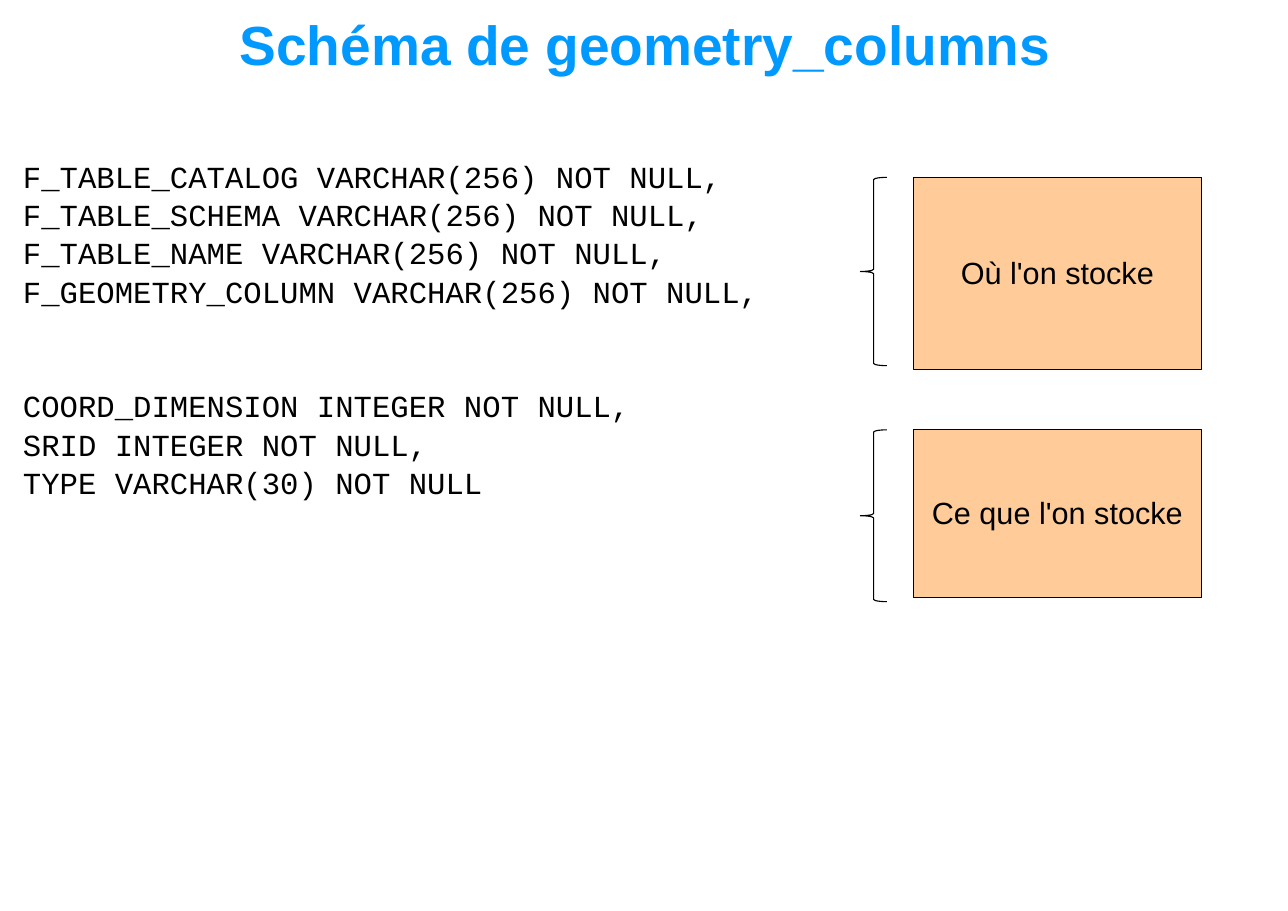
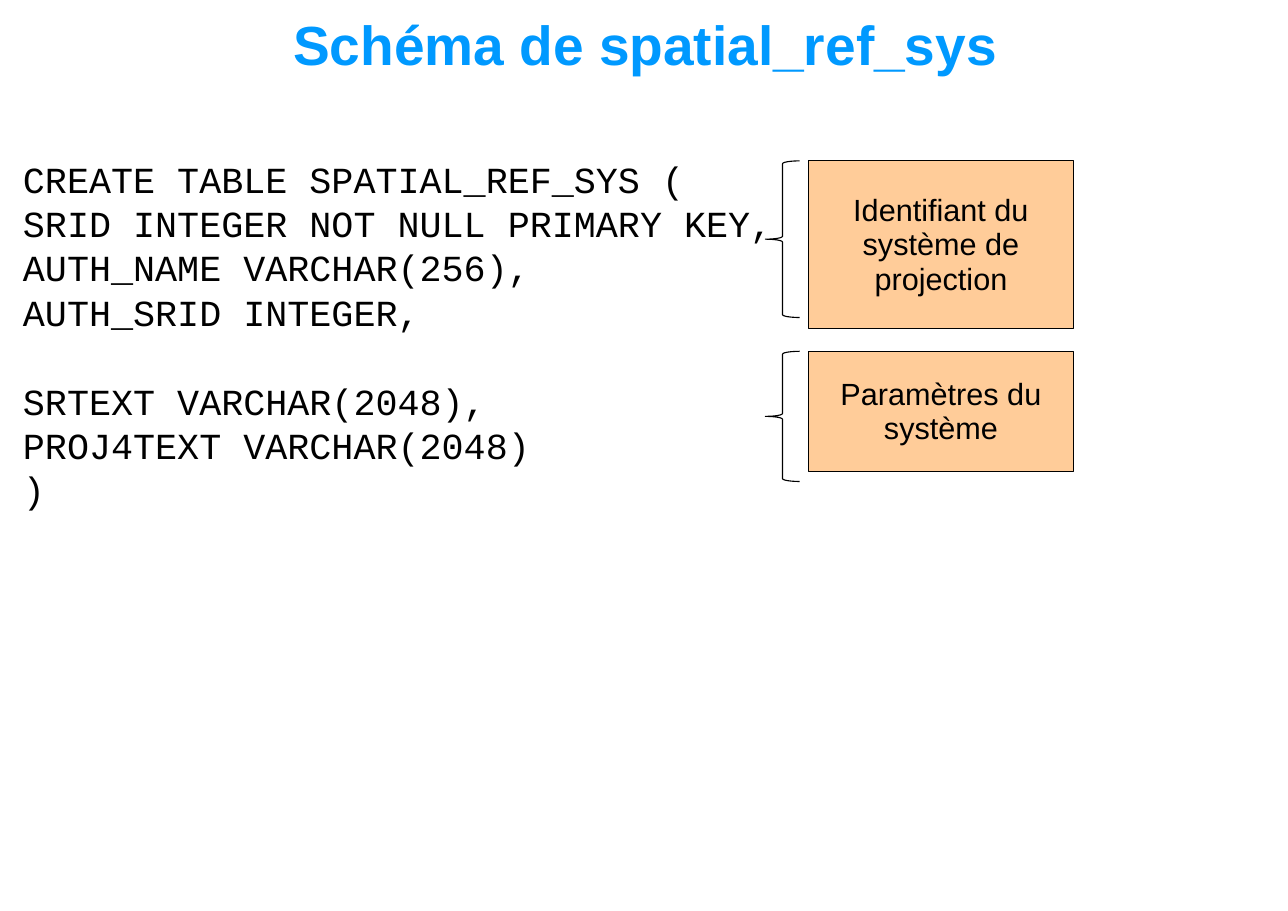
import pptx
import pptx.dml.color
import pptx.enum.shapes
import pptx.enum.text
import pptx.util

Cm = pptx.util.Cm
Pt = pptx.util.Pt
SHAPE = pptx.enum.shapes.MSO_SHAPE
ALIGN = pptx.enum.text.PP_ALIGN
ANCHOR = pptx.enum.text.MSO_ANCHOR

COLORS = {"title": "0099FF", "text": "000000", "note": "FFCC99", "line": "000000"}
FONT = "Arial"
CODE_FONT = "Courier New"
TITLE_BOX = (0.2, 0.25, 29.36, 1.57)
CODE_LEFT, CODE_TOP, CODE_HEIGHT = 0.53, 3.6, 14.15
LINE_SPACING = 0.93

# Each note is (top, note height, brace height, text); lengths are in cm.
SCHEMAS = [
    {
        "title": "Schéma de geometry_columns",
        "code_width": 28.3,
        "code_size": 20,
        "code_pitch": 25,
        "gap_lines": 2,
        "code_groups": [
            [
                "F_TABLE_CATALOG VARCHAR(256) NOT NULL,",
                "F_TABLE_SCHEMA VARCHAR(256) NOT NULL,",
                "F_TABLE_NAME VARCHAR(256) NOT NULL,",
                "F_GEOMETRY_COLUMN VARCHAR(256) NOT NULL,",
            ],
            [
                "COORD_DIMENSION INTEGER NOT NULL,",
                "SRID INTEGER NOT NULL,",
                "TYPE VARCHAR(30) NOT NULL",
            ],
        ],
        "brace_left": 19.84,
        "brace_width": 0.61,
        "note_left": 21.06,
        "note_width": 6.65,
        "notes": [
            (4.09, 4.42, 4.34, "Où l'on stocke"),
            (9.91, 3.86, 3.96, "Ce que l'on stocke"),
        ],
    },
    {
        "title": "Schéma de spatial_ref_sys",
        "code_width": 20.37,
        "code_size": 24,
        "code_pitch": 29,
        "gap_lines": 1,
        "code_groups": [
            [
                "CREATE TABLE SPATIAL_REF_SYS (",
                "SRID INTEGER NOT NULL PRIMARY KEY,",
                "AUTH_NAME VARCHAR(256),",
                "AUTH_SRID INTEGER,",
            ],
            ["SRTEXT VARCHAR(2048),", "PROJ4TEXT VARCHAR(2048)", ")"],
        ],
        "brace_left": 17.65,
        "brace_width": 0.79,
        "note_left": 18.64,
        "note_width": 6.12,
        "notes": [
            (3.71, 3.86, 3.61, "Identifiant du\nsystème de\nprojection"),
            (8.1, 2.77, 3, "Paramètres du\nsystème"),
        ],
    },
]


def rgb(name):
    return pptx.dml.color.RGBColor.from_string(COLORS[name])


def to_cm(box):
    return [Cm(length) for length in box]


def set_margins(frame, left, top, right, bottom):
    frame.margin_left, frame.margin_top = Cm(left), Cm(top)
    frame.margin_right, frame.margin_bottom = Cm(right), Cm(bottom)
    frame.word_wrap = True


def format_text(frame, size, color="text", font=FONT, bold=False,
                align=ALIGN.CENTER, spacing=LINE_SPACING):
    for paragraph in frame.paragraphs:
        paragraph.alignment = align
        paragraph.line_spacing = spacing
        for run in paragraph.runs:
            run.font.name = font
            run.font.size = Pt(size)
            run.font.bold = bold
            run.font.color.rgb = rgb(color)


def outline(shape):
    shape.shadow.inherit = False
    shape.line.color.rgb = rgb("line")
    shape.line.width = Pt(0.75)


def add_title(slide, box, title):
    frame = slide.shapes.add_textbox(*to_cm(box)).text_frame
    set_margins(frame, 0, 0.08, 0, 0)
    frame.vertical_anchor = ANCHOR.MIDDLE
    frame.text = title
    format_text(frame, 36, color="title", bold=True)


def add_code(slide, box, groups, size, pitch, gap_lines):
    """Write the groups of code lines, set apart by a number of line heights."""
    frame = slide.shapes.add_textbox(*to_cm(box)).text_frame
    set_margins(frame, 0, 0, 0, 0)
    frame.text = "\n".join(line for group in groups for line in group)
    format_text(frame, size, font=CODE_FONT, align=ALIGN.LEFT, spacing=Pt(pitch))
    group_start = 0
    for group in groups[:-1]:
        group_start += len(group)
        frame.paragraphs[group_start].space_before = Pt(pitch * gap_lines)


def add_brace(slide, box):
    brace = slide.shapes.add_shape(SHAPE.LEFT_BRACE, *to_cm(box))
    brace.fill.background()
    outline(brace)


def add_note(slide, box, text):
    note = slide.shapes.add_shape(SHAPE.RECTANGLE, *to_cm(box))
    note.fill.solid()
    note.fill.fore_color.rgb = rgb("note")
    outline(note)
    frame = note.text_frame
    set_margins(frame, 0.25, 0.18, 0.25, 0.13)
    frame.vertical_anchor = ANCHOR.MIDDLE
    frame.text = text
    format_text(frame, 20)


def add_schema_slide(deck, schema):
    slide = deck.slides.add_slide(deck.slide_layouts[6])
    add_title(slide, TITLE_BOX, schema["title"])
    add_code(slide, (CODE_LEFT, CODE_TOP, schema["code_width"], CODE_HEIGHT),
             schema["code_groups"], schema["code_size"],
             schema["code_pitch"], schema["gap_lines"])
    for top, note_height, brace_height, text in schema["notes"]:
        add_note(slide, (schema["note_left"], top, schema["note_width"], note_height), text)
        add_brace(slide, (schema["brace_left"], top, schema["brace_width"], brace_height))


def main():
    deck = pptx.Presentation()
    deck.slide_width, deck.slide_height = Cm(29.7), Cm(21)
    for schema in SCHEMAS:
        add_schema_slide(deck, schema)
    deck.save("out.pptx")


if __name__ == "__main__":
    main()
